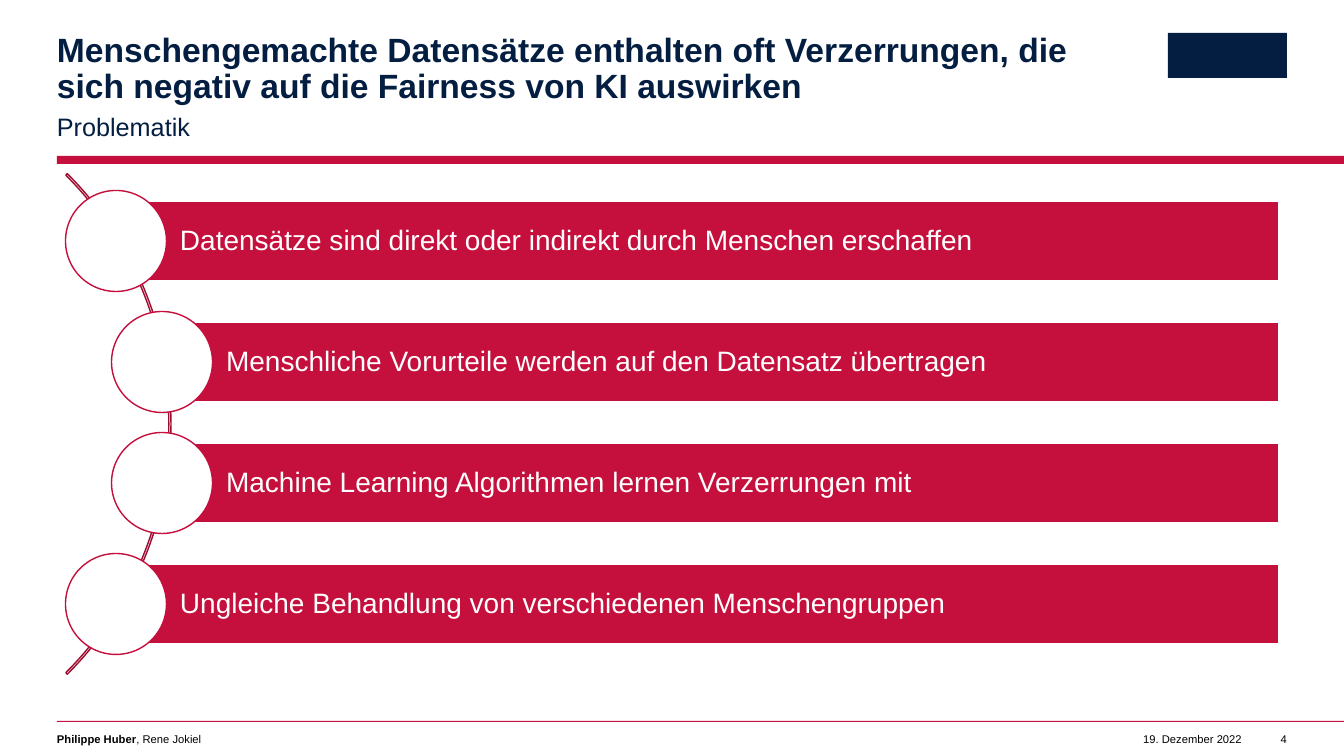
"""Build the slide on bias in man-made data sets."""
from pptx import Presentation
from pptx import util as u
from pptx.dml.color import RGBColor
from pptx.enum import shapes, text

RED = RGBColor(0xC5, 0x0F, 0x3C)
DARK_RED = RGBColor(0x9E, 0x0C, 0x30)
NAVY = RGBColor(0x04, 0x1E, 0x42)
WHITE = RGBColor(0xFF, 0xFF, 0xFF)
BLACK = RGBColor(0, 0, 0)

TITLE = ("Menschengemachte Datensätze enthalten oft Verzerrungen, "
         "die sich negativ auf die Fairness von KI auswirken")
SUBTITLE = "Problematik"
POINTS = [
    (116, "Datensätze sind direkt oder indirekt durch Menschen erschaffen"),
    (162, "Menschliche Vorurteile werden auf den Datensatz übertragen"),
    (162, "Machine Learning Algorithmen lernen Verzerrungen mit"),
    (116, "Ungleiche Behandlung von verschiedenen Menschengruppen"),
]
AUTHORS = [("Philippe Huber", True), (", Rene Jokiel", False)]
DATE, NUMBER = "19. Dezember 2022", "4"

PX = 12192000 / 1344
WIDTH, HEIGHT = 1344, 756
LEFT = 57
BAR_RIGHT, BAR_HEIGHT, FIRST_MIDDLE, PITCH, CIRCLE = 1279, 80, 241, 121, 101
ARC_LEFT, ARC_TOP, ARC_SIZE = -537, 70, 708

KINDS = shapes.MSO_SHAPE
MIDDLE, TOP = text.MSO_ANCHOR.MIDDLE, text.MSO_ANCHOR.TOP
ALIGN_LEFT, ALIGN_RIGHT = text.PP_ALIGN.LEFT, text.PP_ALIGN.RIGHT


def px(*lengths):
    return [u.Emu(round(n * PX)) for n in lengths]


def set_all(target, values):
    for name, value in values.items():
        setattr(target, name, value)


def add_shape(slide, kind, box, fill=None, line=None):
    sp = slide.shapes.add_shape(kind, *px(*box))
    sp.shadow.inherit = False
    if fill is None:
        sp.fill.background()
    else:
        sp.fill.solid()
        sp.fill.fore_color.rgb = fill
    if line is None:
        sp.line.fill.background()
    else:
        sp.line.color.rgb = line
        sp.line.width = u.Pt(1)
    return sp


def write(sp, runs, size, color, anchor=TOP, align=ALIGN_LEFT, spacing=1.0,
          insets=(0, 0, 0, 0)):
    tf = sp.text_frame
    left, top, right, bottom = px(*insets)
    set_all(tf, dict(word_wrap=True, auto_size=text.MSO_AUTO_SIZE.NONE,
                     vertical_anchor=anchor, margin_left=left, margin_top=top,
                     margin_right=right, margin_bottom=bottom))
    p = tf.paragraphs[0]
    set_all(p, dict(alignment=align, line_spacing=spacing))
    for words, bold in runs:
        r = p.add_run()
        r.text = words
        set_all(r.font, dict(name="Arial", size=u.Pt(size), bold=bold))
        r.font.color.rgb = color


def add_text(slide, box, runs, size, color, **layout):
    write(slide.shapes.add_textbox(*px(*box)), runs, size, color, **layout)


def add_header(slide):
    for top, height in ((156, 8), (721, 1)):
        add_shape(slide, KINDS.RECTANGLE, (LEFT, top, WIDTH - LEFT, height), RED)
    add_shape(slide, KINDS.RECTANGLE, (1168, 33, 119, 45), NAVY)
    title = slide.shapes.title
    set_all(title, dict(zip(("left", "top", "width", "height"),
                            px(LEFT, 33, 1055, 73))))
    write(title, [(TITLE, True)], 24, NAVY, anchor=MIDDLE, spacing=0.9)
    add_text(slide, (LEFT, 109, 1055, 31), [(SUBTITLE, False)], 18, NAVY,
             anchor=MIDDLE, spacing=1.1)


def add_points(slide):
    arc = add_shape(slide, KINDS.BLOCK_ARC,
                    (ARC_LEFT, ARC_TOP, ARC_SIZE, ARC_SIZE), line=DARK_RED)
    for i, value in enumerate((189, 27, 0.003)):
        arc.adjustments[i] = value
    for i, (left, words) in enumerate(POINTS):
        middle = FIRST_MIDDLE + i * PITCH
        bar = add_shape(slide, KINDS.RECTANGLE,
                        (left, middle - BAR_HEIGHT / 2, BAR_RIGHT - left, BAR_HEIGHT),
                        RED, WHITE)
        write(bar, [(words, False)], 20, WHITE, anchor=MIDDLE, spacing=0.9,
              insets=(64, 6, 6, 6))
        add_shape(slide, KINDS.OVAL,
                  (left - CIRCLE / 2, middle - CIRCLE / 2, CIRCLE, CIRCLE),
                  WHITE, RED)


def add_footer(slide):
    add_text(slide, (LEFT, 732, 1055, 13), AUTHORS, 8, BLACK)
    for left, right, words in ((1122, 1242, DATE), (1266, 1287, NUMBER)):
        add_text(slide, (left, 732, right - left, 13), [(words, False)], 8, BLACK,
                 align=ALIGN_RIGHT)


def main():
    prs = Presentation()
    prs.slide_width, prs.slide_height = px(WIDTH, HEIGHT)
    slide = prs.slides.add_slide(prs.slide_layouts[5])
    add_header(slide)
    add_points(slide)
    add_footer(slide)
    prs.save("out.pptx")


if __name__ == "__main__":
    main()
